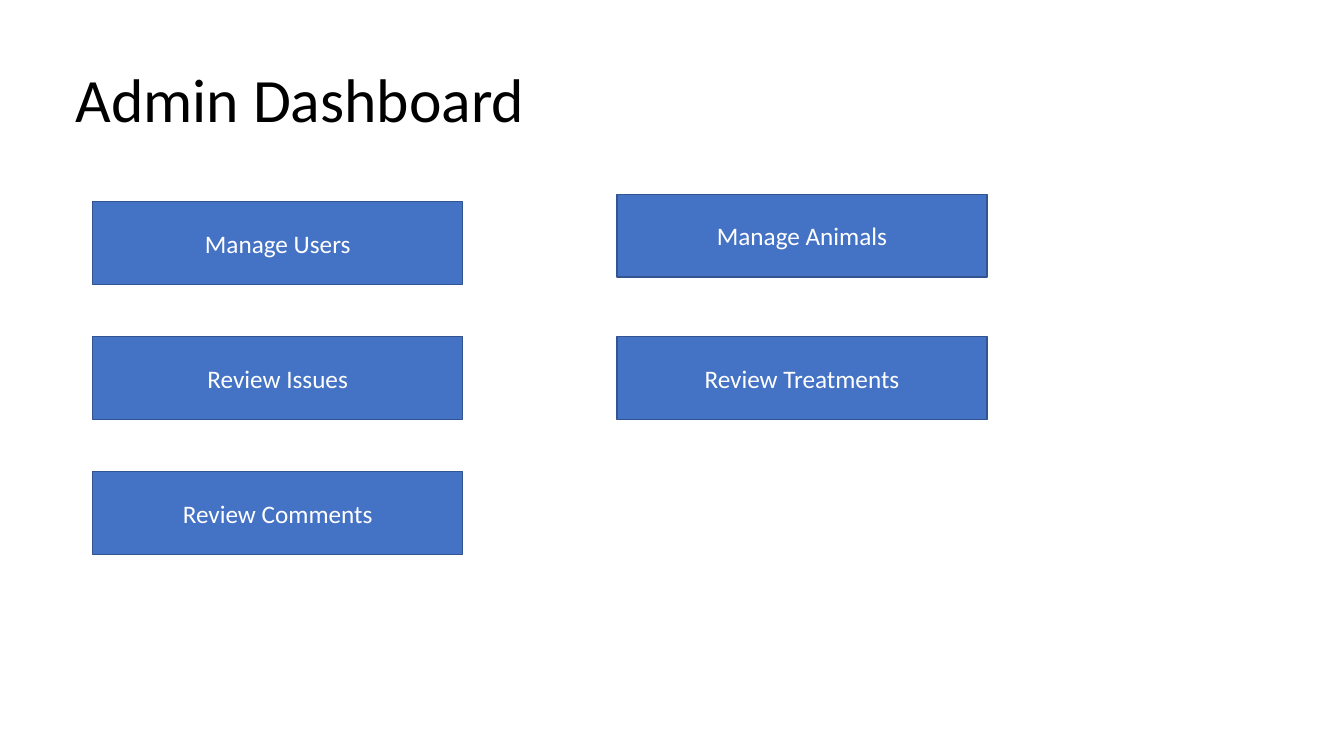
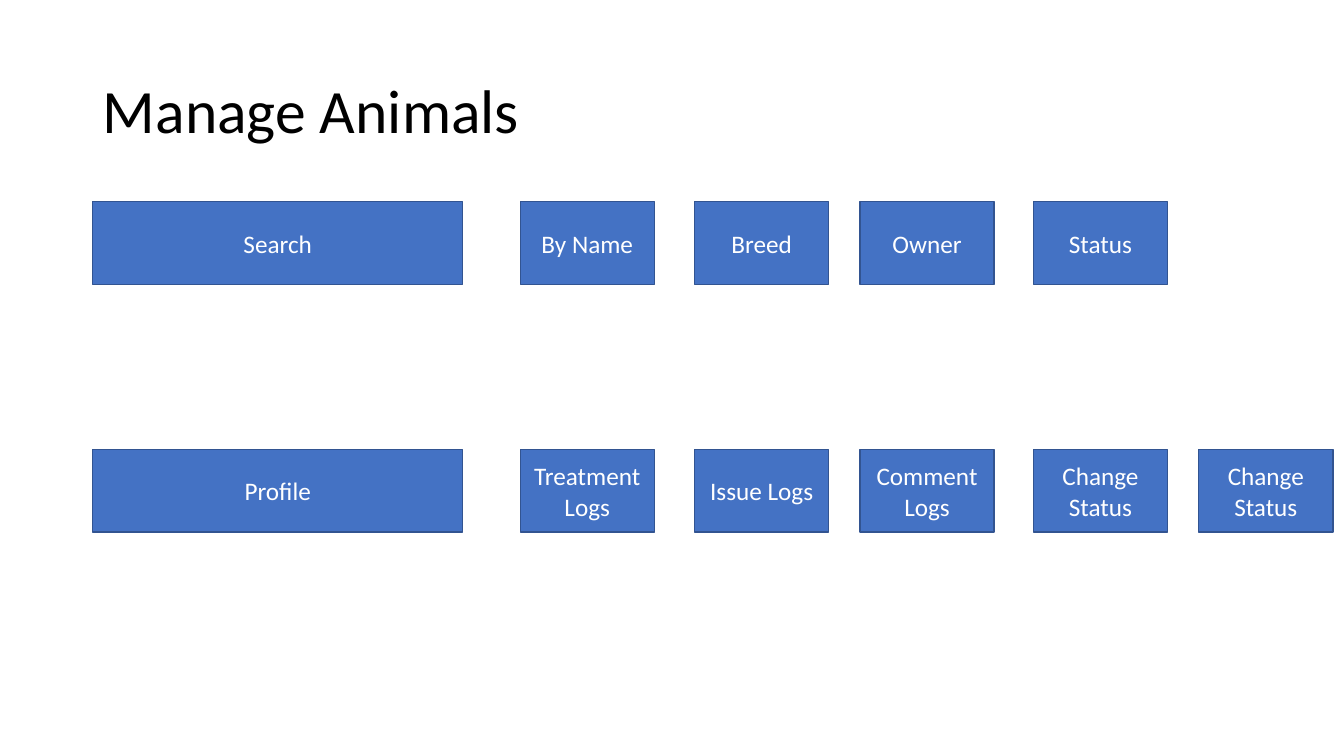
import pptx
import pptx.dml.color
import pptx.enum.shapes
import pptx.enum.text
import pptx.util

Inches = pptx.util.Inches
COLORS = {"title": "000000", "fill": "4472C4", "outline": "325491", "label": "FFFFFF"}
FONT = "Calibri"
TITLE_SIZE = (11.5, 1.45)
WIDE, NARROW, BUTTON_HEIGHT = 3.67, 1.33, 0.82
LEFT, TOP = 0.92, 2
ROW_STEP = 1.34


def color(name):
    """Return the named colour of the palette."""
    return pptx.dml.color.RGBColor.from_string(COLORS[name])


def style_text(text_frame, size, color_name, alignment):
    """Centre the text vertically and format its runs."""
    text_frame.word_wrap = True
    text_frame.vertical_anchor = pptx.enum.text.MSO_ANCHOR.MIDDLE
    for paragraph in text_frame.paragraphs:
        paragraph.alignment = alignment
        for run in paragraph.runs:
            run.font.name = FONT
            run.font.size = pptx.util.Pt(size)
            run.font.color.rgb = color(color_name)


def add_titled_slide(presentation, title, left, top):
    """Add a slide with its title placeholder at the given corner."""
    slide = presentation.slides.add_slide(presentation.slide_layouts[5])
    shape = slide.shapes.title
    shape.left, shape.top = Inches(left), Inches(top)
    shape.width, shape.height = (Inches(length) for length in TITLE_SIZE)
    shape.text_frame.text = title
    shape.text_frame.auto_size = pptx.enum.text.MSO_AUTO_SIZE.NONE
    shape.text_frame.paragraphs[0].line_spacing = 0.9
    style_text(shape.text_frame, 44, "title", pptx.enum.text.PP_ALIGN.LEFT)
    return slide


def add_button(slide, label, left, top, width):
    """Add one labelled button."""
    shape = slide.shapes.add_shape(
        pptx.enum.shapes.MSO_SHAPE.RECTANGLE,
        Inches(left), Inches(top), Inches(width), Inches(BUTTON_HEIGHT))
    shape.shadow.inherit = False
    shape.fill.solid()
    shape.fill.fore_color.rgb = color("fill")
    shape.line.color.rgb = color("outline")
    shape.line.width = pptx.util.Pt(1)
    shape.text_frame.text = label
    style_text(shape.text_frame, 18, "label", pptx.enum.text.PP_ALIGN.CENTER)


def add_button_column(slide, labels, left, tops):
    """Stack wide buttons at the given heights."""
    for label, top in zip(labels, tops):
        add_button(slide, label, left, top, WIDE)


def add_action_row(slide, heading, actions, top):
    """Place a wide heading button followed by its narrow action buttons."""
    add_button(slide, heading, LEFT, top, WIDE)
    for label, left in zip(actions, (5.16, 6.89, 8.53, 10.25, 11.89)):
        add_button(slide, label, left, top, NARROW)


def build_dashboard(presentation):
    """Build the dashboard with two columns of buttons."""
    slide = add_titled_slide(presentation, "Admin Dashboard", 0.65, 0.29)
    rows = [TOP + ROW_STEP * index for index in range(3)]
    add_button_column(slide, ["Manage Users", "Review Issues", "Review Comments"], LEFT, rows)
    add_button_column(slide, ["Manage Animals", "Review Treatments"], 6.12, [1.93, rows[1]])


def build_animals(presentation):
    """Build the animal page with its search and profile rows."""
    slide = add_titled_slide(presentation, "Manage Animals", LEFT, 0.4)
    add_action_row(slide, "Search", ["By Name", "Breed", "Owner", "Status"], TOP)
    add_action_row(
        slide, "Profile",
        ["Treatment Logs", "Issue Logs", "Comment Logs", "Change Status", "Change Status"], 4.46)


presentation = pptx.Presentation()
presentation.slide_width, presentation.slide_height = Inches(13.33), Inches(7.5)
build_dashboard(presentation)
build_animals(presentation)
presentation.save("out.pptx")
